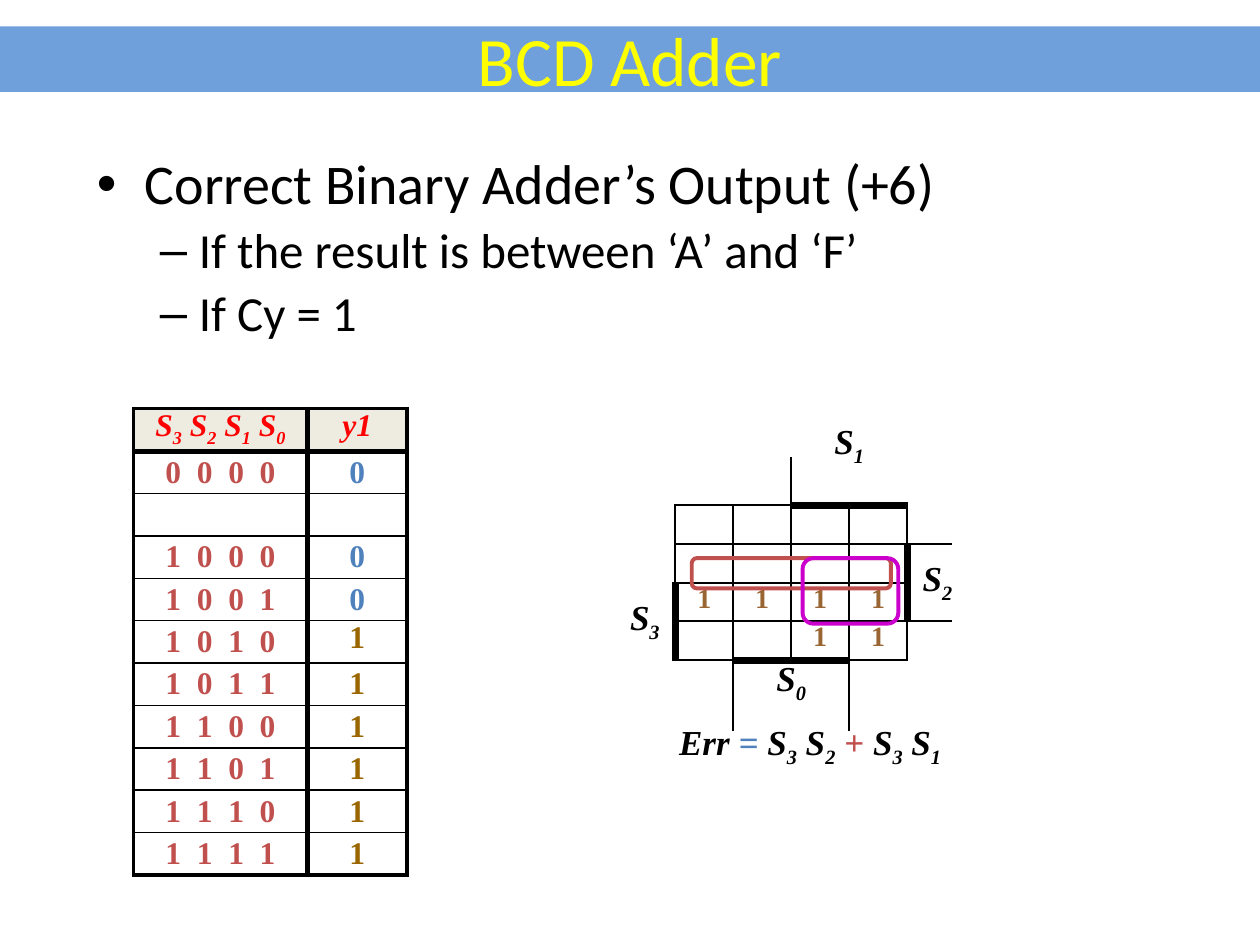
"""Build the BCD adder slide with its truth table and Karnaugh map."""
from lxml.etree import SubElement
from pptx import Presentation
from pptx.dml.color import RGBColor
from pptx.enum.shapes import MSO_SHAPE
from pptx.enum.text import MSO_ANCHOR, PP_ALIGN
from pptx.oxml.ns import qn
from pptx.util import Inches, Pt

W, H = 10, 7.5
SANS, SERIF = "Calibri", "Times New Roman"
HUES = {"bar": "6FA0DC", "title": "FFFF00", "ink": "000000", "head": "EEECE1",
        "label": "FF0000", "red": "C0504D", "blue": "4F81BD", "gold": "996600",
        "brown": "996633", "pink": "CC00CC"}
PLAIN = "{2D5ABB26-0587-4C30-8999-92F81FD0307C}"
TITLE = "BCD Adder"
POINTS = [("Correct Binary Adder’s Output (+6)", 0),
          ("If the result is between ‘A’ and ‘F’", 1), ("If Cy = 1", 1)]
LEVELS = [("•", 32, 0.38, 0.38, 0), ("–", 28, 0.81, 0.31, 5.6)]
TRUTH = [("0000", "0"), ("", ""), ("1000", "0"), ("1001", "0"), ("1010", "1"),
         ("1011", "1"), ("1100", "1"), ("1101", "1"), ("1110", "1"), ("1111", "1")]
MAP_COLS = [0.14, 0.22] + [0.46] * 4 + [0.24, 0.12]
MAP_ROWS = [0.27, 0.35, 0.31, 0.31, 0.3, 0.31, 0.28, 0.28]
SPANS = [(0, 0, 2, 2), (0, 2, 2, 1), (0, 4, 2, 2), (0, 6, 2, 2), (2, 0, 1, 2),
         (3, 6, 2, 2), (4, 0, 2, 2), (6, 0, 2, 2), (6, 3, 2, 2), (6, 6, 2, 2)]
LABELS = {(0, 4): ("S_1", "ctr", "t"), (3, 6): ("S_2", "r", "m"),
          (4, 0): ("S_3", "l", "m"), (6, 3): ("S_0", "ctr", "t")}
ONES = [(4, 2), (4, 3), (4, 4), (4, 5), (5, 4), (5, 5)]
ACROSS = [(2, 2, 4, 1.5), (2, 4, 6, 4.5), (3, 2, 8, 1), (4, 2, 6, 1), (5, 2, 7, 1),
          (6, 2, 3, 1.5), (6, 3, 5, 4.5), (6, 5, 6, 1.5)]
DOWN = [(2, 2, 4, 1.5), (2, 4, 6, 4.5), (3, 2, 8, 1), (4, 1, 6, 1), (5, 2, 7, 1),
        (6, 2, 3, 1.5), (6, 3, 5, 4.5), (6, 5, 6, 1.5)]
LOOPS = [(5.49, 4.43, 1.58, 0.24, "red"), (6.37, 4.43, 0.76, 0.52, "pink")]
RESULT = [("Err ", "ink"), ("= ", "blue"), ("S_3 S_2 ", "ink"), ("+ ", "red"),
          ("S_3 S_1", "ink")]
ALIGN = {"l": PP_ALIGN.LEFT, "ctr": PP_ALIGN.CENTER, "r": PP_ALIGN.RIGHT}
ANCHOR = {"t": MSO_ANCHOR.TOP, "m": MSO_ANCHOR.MIDDLE}


def rgb(key):
    return RGBColor.from_string(HUES[key])


def put(para, text, size=18, hue="ink", font=SERIF, bold=True, italic=False, align="l"):
    para.alignment = ALIGN[align]
    base, *subs = text.split("_")
    parts = [(base, False)]
    for sub in subs:
        parts += [(sub[0], True), (sub[1:], False)]
    for word, low in parts:
        if word:
            run = para.add_run()
            run.text = word
            face = run.font
            face.size, face.name, face.bold, face.italic = Pt(size), font, bold, italic
            face.color.rgb = rgb(hue)
            if low:
                run._r.get_or_add_rPr().set("baseline", "-25000")


def pad(box):
    box.margin_left = box.margin_right = box.margin_top = box.margin_bottom = 0


def grid(slide, left, top, cols, rows):
    frame = slide.shapes.add_table(len(rows), len(cols), Inches(left), Inches(top),
                                   Inches(sum(cols)), Inches(sum(rows)))
    table = frame.table
    table._tbl.tblPr.find(qn("a:tableStyleId")).text = PLAIN
    table.first_row = table.horz_banding = False
    for col, wide in zip(table.columns, cols):
        col.width = Inches(wide)
    for row, tall in zip(table.rows, rows):
        row.height = Inches(tall)
    for cell in table.iter_cells():
        pad(cell)
        cell.fill.background()
    return table


def draw(table, across, down):
    rows, cols = len(table.rows), len(table.columns)
    edges = {}
    for y, start, end, width in across:
        for x in range(start, end):
            edges[y - 1, x, "B"] = edges[y, x, "T"] = width
    for x, start, end, width in down:
        for y in range(start, end):
            edges[y, x - 1, "R"] = edges[y, x, "L"] = width
    for y in range(rows):
        for x in range(cols):
            props = table.cell(y, x)._tc.get_or_add_tcPr()
            for spot, side in enumerate("LRTB"):
                width = edges.get((y, x, side))
                line = SubElement(props, qn("a:ln" + side), w=str(Pt(width or 0)))
                props.insert(spot, line)
                fill = SubElement(line, qn("a:solidFill" if width else "a:noFill"))
                if width:
                    SubElement(fill, qn("a:srgbClr"), val=HUES["ink"])


def shrink(table):
    for cell in table.iter_cells():
        if not cell.text_frame.text:
            SubElement(cell.text_frame.paragraphs[0]._p, qn("a:endParaRPr"), sz="1000")


def write(cell, text, anchor="m", **form):
    cell.vertical_anchor = ANCHOR[anchor]
    put(cell.text_frame.paragraphs[0], text, **form)


def panel(slide, kind, box):
    shape = slide.shapes.add_shape(kind, *map(Inches, box))
    shape.shadow.inherit = False
    return shape


def words(slide, *box):
    frame = slide.shapes.add_textbox(*map(Inches, box)).text_frame
    frame.word_wrap = True
    return frame


def intro(slide):
    bar = panel(slide, MSO_SHAPE.RECTANGLE, (0, 0.21, W, 0.52))
    bar.fill.solid()
    bar.fill.fore_color.rgb = rgb("bar")
    bar.line.fill.background()
    bar.text_frame.vertical_anchor = ANCHOR["m"]
    put(bar.text_frame.paragraphs[0], TITLE, size=39.6, hue="title", font=SANS,
        bold=False, align="ctr")
    body = words(slide, 0.67, 1.19, 9.06, 1.72)
    for i, (text, level) in enumerate(POINTS):
        para = body.add_paragraph() if i else body.paragraphs[0]
        mark, size, left, hang, gap = LEVELS[level]
        props = para._p.get_or_add_pPr()
        props.set("marL", str(Inches(left)))
        props.set("indent", str(-Inches(hang)))
        SubElement(props, qn("a:buFont"), typeface="Arial")
        SubElement(props, qn("a:buChar"), char=mark)
        para.level, para.line_spacing, para.space_before = level, 0.9, Pt(gap)
        put(para, text, size=size, font=SANS, bold=False)


def truth(slide):
    count = len(TRUTH) + 1
    table = grid(slide, 1.06, 3.24, [1.38, 0.79], [3.7 / count] * count)
    thick = {0: 2.25, 1: 3, count: 2.25}
    draw(table, [(y, 0, 2, thick.get(y, 1)) for y in range(count + 1)],
         [(x, 0, count, w) for x, w in enumerate((2.25, 3, 2.25))])
    for x, text in enumerate(("S_3 S_2 S_1 S_0", "y1")):
        cell = table.cell(0, x)
        cell.fill.solid()
        cell.fill.fore_color.rgb = rgb("head")
        write(cell, text, "t", hue="label", italic=True, align="ctr")
    for y, (bits, out) in enumerate(TRUTH, 1):
        write(table.cell(y, 0), "  ".join(bits), hue="red", align="ctr")
        write(table.cell(y, 1), out, "t" if bits == "1010" else "m",
              hue="gold" if out == "1" else "blue", align="ctr")
    shrink(table)


def karnaugh(slide):
    table = grid(slide, 5, 3.36, MAP_COLS, MAP_ROWS)
    for y, x, tall, wide in SPANS:
        table.cell(y, x).merge(table.cell(y + tall - 1, x + wide - 1))
    draw(table, ACROSS, DOWN)
    for spot, (text, align, anchor) in LABELS.items():
        write(table.cell(*spot), text, anchor, size=20, italic=True, align=align)
    for spot in ONES:
        write(table.cell(*spot), "1", "t", size=16, hue="brown", align="ctr")
    shrink(table)
    for *box, hue in LOOPS:
        loop = panel(slide, MSO_SHAPE.ROUNDED_RECTANGLE, box)
        loop.fill.background()
        loop.line.color.rgb, loop.line.width = rgb(hue), Pt(2.25)
    frame = words(slide, 5.39, 5.72, 2.16, 0.33)
    pad(frame)
    for text, hue in RESULT:
        put(frame.paragraphs[0], text, size=20, hue=hue, italic=True)


def main():
    deck = Presentation()
    deck.slide_width, deck.slide_height = Inches(W), Inches(H)
    slide = deck.slides.add_slide(deck.slide_layouts[6])
    intro(slide)
    truth(slide)
    karnaugh(slide)
    deck.save("out.pptx")


if __name__ == "__main__":
    main()
